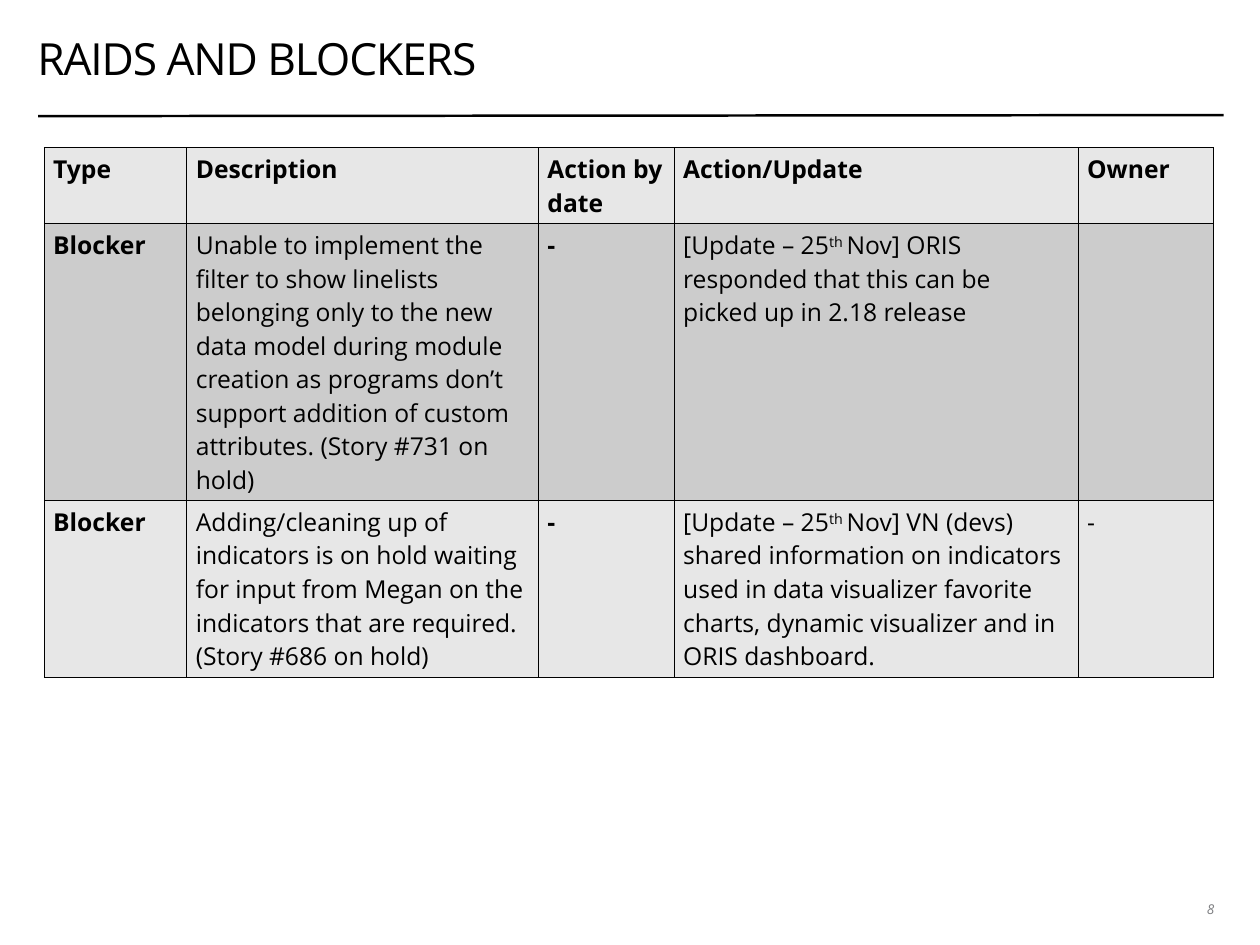
import pptx
import pptx.util
import pptx.dml.color
import pptx.enum.shapes
import pptx.enum.text
import pptx.oxml
import lxml.etree

Cm = pptx.util.Cm
Pt = pptx.util.Pt
hues = {"ink": "000000", "pale": "E7E7E7", "mid": "CCCCCC", "note": "808184"}


def tint(name):
    return pptx.dml.color.RGBColor.from_string(hues[name])


def write(para, text, size, hue="ink", bold=False, lift=False):
    run = para.add_run()
    run.text = text
    run.font.name = "Open Sans"
    run.font.size = Pt(size)
    run.font.bold = bold
    run.font.color.rgb = tint(hue)
    if lift:
        run.font._element.set("baseline", "30000")
    return run


deck = pptx.Presentation()
deck.slide_width = Cm(36.12)
deck.slide_height = Cm(27.1)
slide = deck.slides.add_slide(deck.slide_layouts[6])

rule = slide.shapes.add_connector(
    pptx.enum.shapes.MSO_CONNECTOR.STRAIGHT, Cm(1.09), Cm(3.33), Cm(35.08), Cm(3.3))
rule.line.color.rgb = tint("ink")
rule.line.width = Pt(2)
lxml.etree.SubElement(rule._element.spPr, pptx.oxml.ns.qn("a:effectLst"))

title = slide.shapes.add_textbox(Cm(1.07), Cm(0.84), Cm(34.01), Cm(2.01)).text_frame
title.word_wrap = True
title.vertical_anchor = pptx.enum.text.MSO_ANCHOR.MIDDLE
title.margin_left = title.margin_right = title.margin_top = title.margin_bottom = 0
title.paragraphs[0].line_spacing = 0.7
head = write(title.paragraphs[0], "RAIDS AND BLOCKERS", 36)
head.font._element.set("spc", "-90")

wide = [4.09, 10.08, 3.89, 11.58, 3.89]
high = [2.18, 7.94, 5.08]
fills = ["pale", "mid", "pale"]
rows = [
    [[["Type"]], [["Description"]], [["Action by date"]], [["Action/Update"]], [["Owner"]]],
    [
        [["Blocker"]],
        [["Unable to implement the filter to show linelists belonging only to the new "
          "data model during module creation as programs don’t support addition of "
          "custom attributes. (Story #731 on hold)"]],
        [["-"]],
        [["[Update – 25", "th ", "Nov] ORIS responded that this can be picked up in 2.18 release"]],
        [],
    ],
    [
        [["Blocker"]],
        [["Adding/cleaning up of indicators is on hold waiting for input from Megan on "
          "the indicators that are required."], ["(Story #686 on hold)"]],
        [["-"]],
        [["[Update – 25", "th ", "Nov] VN (devs) shared information on indicators used in "
          "data visualizer favorite charts, dynamic visualizer and in ORIS dashboard."]],
        [["-"]],
    ],
]

grid = slide.shapes.add_table(
    len(rows), len(wide), Cm(1.27), Cm(4.24), Cm(sum(wide)), Cm(sum(high))).table
grid.first_row = False
grid.horz_banding = False
for col, width in zip(grid.columns, wide):
    col.width = Cm(width)

for r, row in enumerate(rows):
    grid.rows[r].height = Cm(high[r])
    for c, paras in enumerate(row):
        cell = grid.cell(r, c)
        for side in ("lnL", "lnR", "lnT", "lnB"):
            edge = lxml.etree.SubElement(
                cell._tc.get_or_add_tcPr(), pptx.oxml.ns.qn("a:" + side), w=str(Pt(1)))
            paint = lxml.etree.SubElement(edge, pptx.oxml.ns.qn("a:solidFill"))
            lxml.etree.SubElement(paint, pptx.oxml.ns.qn("a:srgbClr"), val=hues["ink"])
        cell.fill.solid()
        cell.fill.fore_color.rgb = tint(fills[r])
        for p, runs in enumerate(paras):
            para = cell.text_frame.add_paragraph() if p else cell.text_frame.paragraphs[0]
            for text in runs:
                write(para, text, 20, bold=r == 0 or c in (0, 2), lift=text == "th ")

page = slide.shapes.add_textbox(Cm(34.32), Cm(25.7), Cm(0.74), Cm(0.81)).text_frame
page.word_wrap = False
page.paragraphs[0].alignment = pptx.enum.text.PP_ALIGN.RIGHT
write(page.paragraphs[0], "8", 11, "note").font.italic = True

deck.save("out.pptx")
